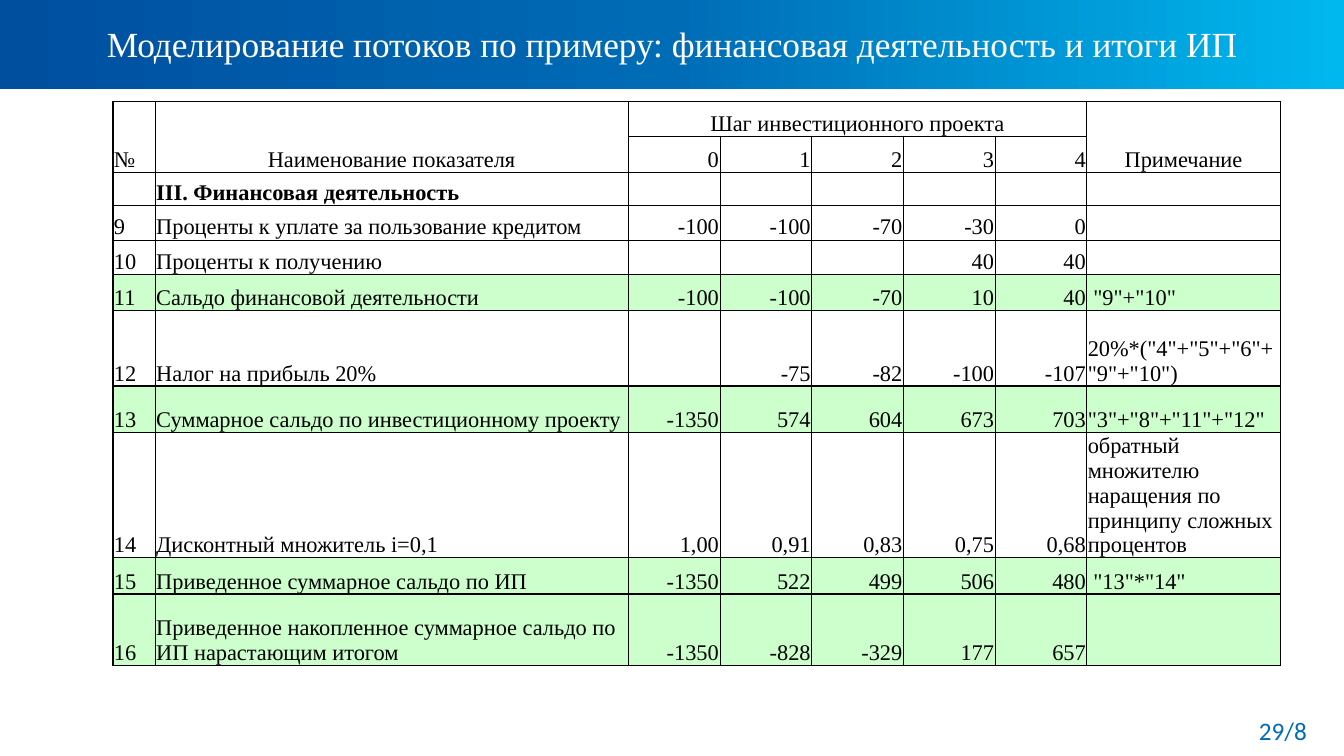
from copy import deepcopy
from dataclasses import dataclass

from lxml.etree import SubElement
from pptx import Presentation
from pptx.dml.color import RGBColor
from pptx.enum.shapes import MSO_SHAPE
from pptx.enum.text import MSO_ANCHOR as Anchor, MSO_AUTO_SIZE as AutoSize, PP_ALIGN as Align
from pptx.oxml.ns import qn
from pptx.util import Inches, Pt

TITLE = "Моделирование потоков по примеру: финансовая деятельность и итоги ИП"
PAGE = "29/8"
HEADER = [
    ["№", "Наименование показателя", "Шаг инвестиционного проекта", "", "", "", "", "Примечание"],
    ["", "", "0", "1", "2", "3", "4", ""],
]
INDICATORS = [
    ["", "III. Финансовая деятельность", "", "", "", "", "", ""],
    ["9", "Проценты к уплате за пользование кредитом", "-100", "-100", "-70", "-30", "0", ""],
    ["10", "Проценты к получению", "", "", "", "40", "40", ""],
    ["11", "Сальдо финансовой деятельности", "-100", "-100", "-70", "10", "40", ' "9"+"10"'],
    ["12", "Налог на прибыль 20%", "", "-75", "-82", "-100", "-107", ' 20%*("4"+"5"+"6"+"9"+"10")'],
    ["13", "Суммарное сальдо по инвестиционному проекту", "-1350", "574", "604", "673", "703", '"3"+"8"+"11"+"12"'],
    ["14", "Дисконтный множитель i=0,1", "1,00", "0,91", "0,83", "0,75", "0,68",
     "обратный множителю наращения по принципу сложных процентов"],
    ["15", "Приведенное суммарное сальдо по ИП", "-1350", "522", "499", "506", "480", ' "13"*"14"'],
    ["16", "Приведенное накопленное суммарное сальдо по ИП нарастающим итогом",
     "-1350", "-828", "-329", "177", "657", ""],
]
TOTALS = {"11", "13", "15", "16"}
MERGES = [(0, 0, 1, 0), (0, 1, 1, 1), (0, 2, 0, 6), (0, 7, 1, 7)]
COLUMNS = [0.42, 4.69] + [0.91] * 5 + [1.92]
ROWS = [0.34, 0.36, 0.33, 0.34, 0.34, 0.36, 0.36, 0.46, 0.36, 0.36, 0.71]
STEPS = range(2, 7)
HEAVY_ACROSS = {0, 2, *range(6, len(ROWS) + 1)}
HEAVY_DOWN = {0, len(COLUMNS)}


@dataclass(frozen=True)
class Theme:
    serif: str = "Times New Roman"
    sans: str = "Calibri"
    ink: str = "000000"
    paper: str = "FFFFFF"
    accent: str = "006CB6"
    total: str = "CCFFCC"
    band: tuple = ((0, "004F9F"), (0.5, "006CB6"), (1, "00B8EE"))
    title_size: float = 25.2
    page_size: float = 18
    cell_size: float = 16
    thin: float = 0.5
    heavy: float = 1


THEME = Theme()


def write(frame, text, *, size, color, font=THEME.serif, align=Align.LEFT, bold=False):
    paragraph = frame.paragraphs[0]
    paragraph.alignment = align
    if not text:
        SubElement(paragraph._p, qn("a:endParaRPr"), sz=str(int(size * 100)))
        return
    run = paragraph.add_run()
    run.text = text
    run.font.name, run.font.size, run.font.bold = font, Pt(size), bold
    run.font.color.rgb = RGBColor.from_string(color)


def rule_cell(cell, weights):
    properties = cell._tc.get_or_add_tcPr()
    for position, (side, weight) in enumerate(weights.items()):
        line = properties.makeelement(qn(f"a:ln{side}"), {"w": str(Pt(weight))})
        SubElement(SubElement(line, qn("a:solidFill")), qn("a:srgbClr"), val=THEME.ink)
        properties.insert(position, line)


def add_band(slide, width):
    band = slide.shapes.add_shape(MSO_SHAPE.RECTANGLE, 0, 0, width, Inches(0.88))
    band.shadow.inherit = False
    band.line.fill.background()
    band.fill.gradient()
    band.fill.gradient_angle = 0
    first = band.fill.gradient_stops[0]._gs
    first.addnext(deepcopy(first))
    for stop, (position, color) in zip(band.fill.gradient_stops, THEME.band):
        stop.position = position
        stop.color.rgb = RGBColor.from_string(color)
    slide.shapes._spTree.insert(2, band._element)


def add_title(slide):
    title = slide.shapes.title
    title.left, title.top, title.width, title.height = map(Inches, (0.37, 0.13, 12.6, 0.76))
    frame = title.text_frame
    frame.auto_size, frame.word_wrap = AutoSize.NONE, True
    frame.vertical_anchor, frame.margin_top = Anchor.TOP, Inches(0.09)
    write(frame, TITLE, size=THEME.title_size, color=THEME.paper, align=Align.CENTER)


def add_page_number(slide):
    frame = slide.shapes.add_textbox(*map(Inches, (12.16, 7.05, 0.9, 0.4))).text_frame
    frame.word_wrap = True
    write(frame, PAGE, size=THEME.page_size, color=THEME.accent, font=THEME.sans, align=Align.RIGHT)


def add_indicators(slide):
    box = map(Inches, (1.12, 1.01, sum(COLUMNS), sum(ROWS)))
    table = slide.shapes.add_table(len(ROWS), len(COLUMNS), *box).table
    table.first_row = table.horz_banding = False
    for column, width in zip(table.columns, COLUMNS):
        column.width = Inches(width)
    for row, height in zip(table.rows, ROWS):
        row.height = Inches(height)
    for top, left, bottom, right in MERGES:
        table.cell(top, left).merge(table.cell(bottom, right))

    for r, values in enumerate(HEADER + INDICATORS):
        for c, text in enumerate(values):
            cell = table.cell(r, c)
            if cell.is_spanned:
                continue
            cell.vertical_anchor = Anchor.BOTTOM
            cell.margin_left = cell.margin_right = cell.margin_top = Inches(0.01)
            cell.margin_bottom = 0
            if values[0] in TOTALS:
                cell.fill.solid()
                cell.fill.fore_color.rgb = RGBColor.from_string(THEME.total)
            else:
                cell.fill.background()
            if r == 0 and c > 0:
                align = Align.CENTER
            else:
                align = Align.RIGHT if c in STEPS else Align.LEFT
            write(cell.text_frame, text, size=THEME.cell_size, color=THEME.ink,
                  align=align, bold=r == len(HEADER))
            height = cell.span_height if cell.is_merge_origin else 1
            width = cell.span_width if cell.is_merge_origin else 1
            edges = {"L": c in HEAVY_DOWN, "R": c + width in HEAVY_DOWN,
                     "T": r in HEAVY_ACROSS, "B": r + height in HEAVY_ACROSS}
            rule_cell(cell, {side: THEME.heavy if heavy else THEME.thin
                             for side, heavy in edges.items()})


def main():
    deck = Presentation()
    deck.slide_width, deck.slide_height = Inches(13.33), Inches(7.5)
    slide = deck.slides.add_slide(deck.slide_layouts[5])
    add_band(slide, deck.slide_width)
    add_title(slide)
    add_indicators(slide)
    add_page_number(slide)
    deck.save("out.pptx")


if __name__ == "__main__":
    main()
